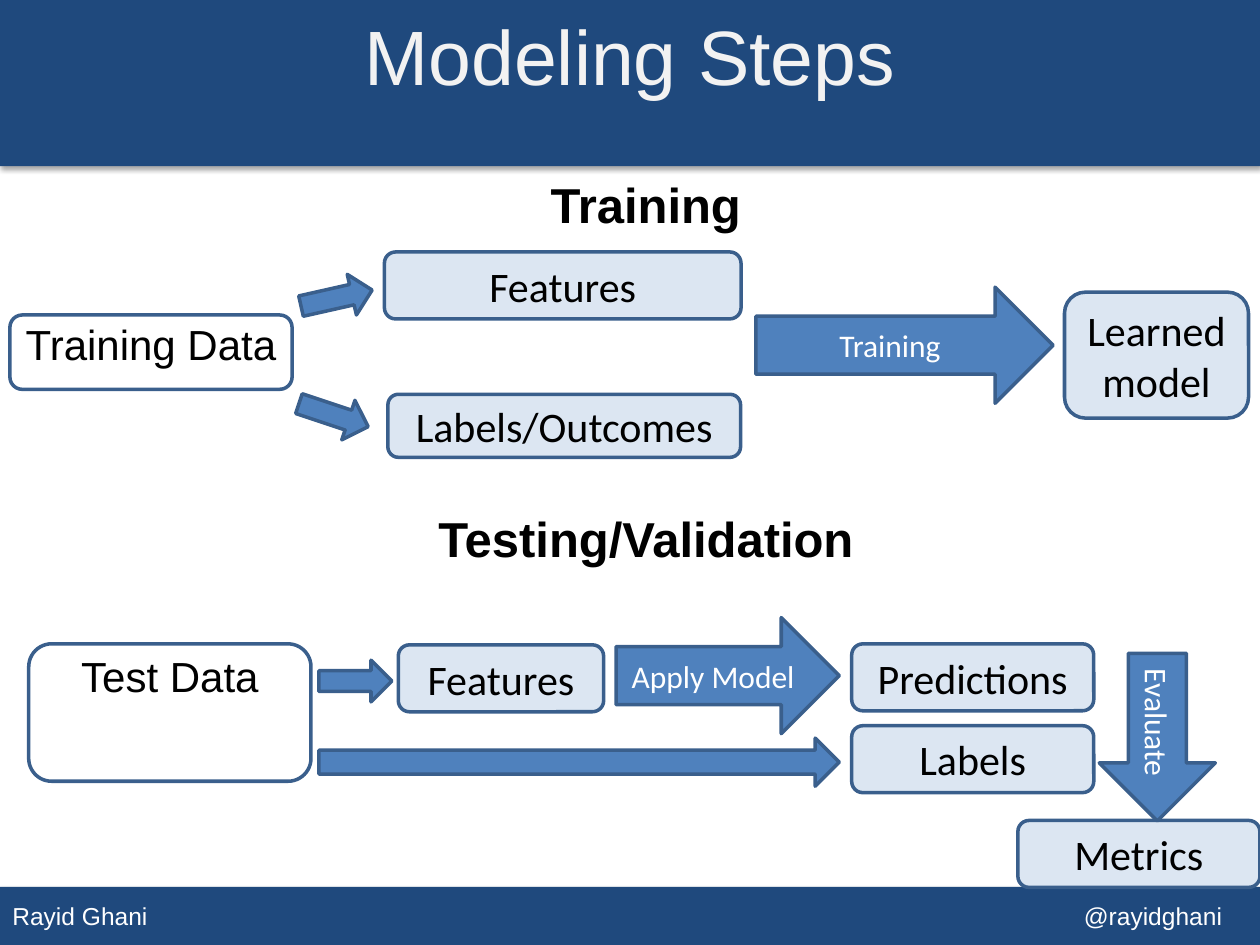
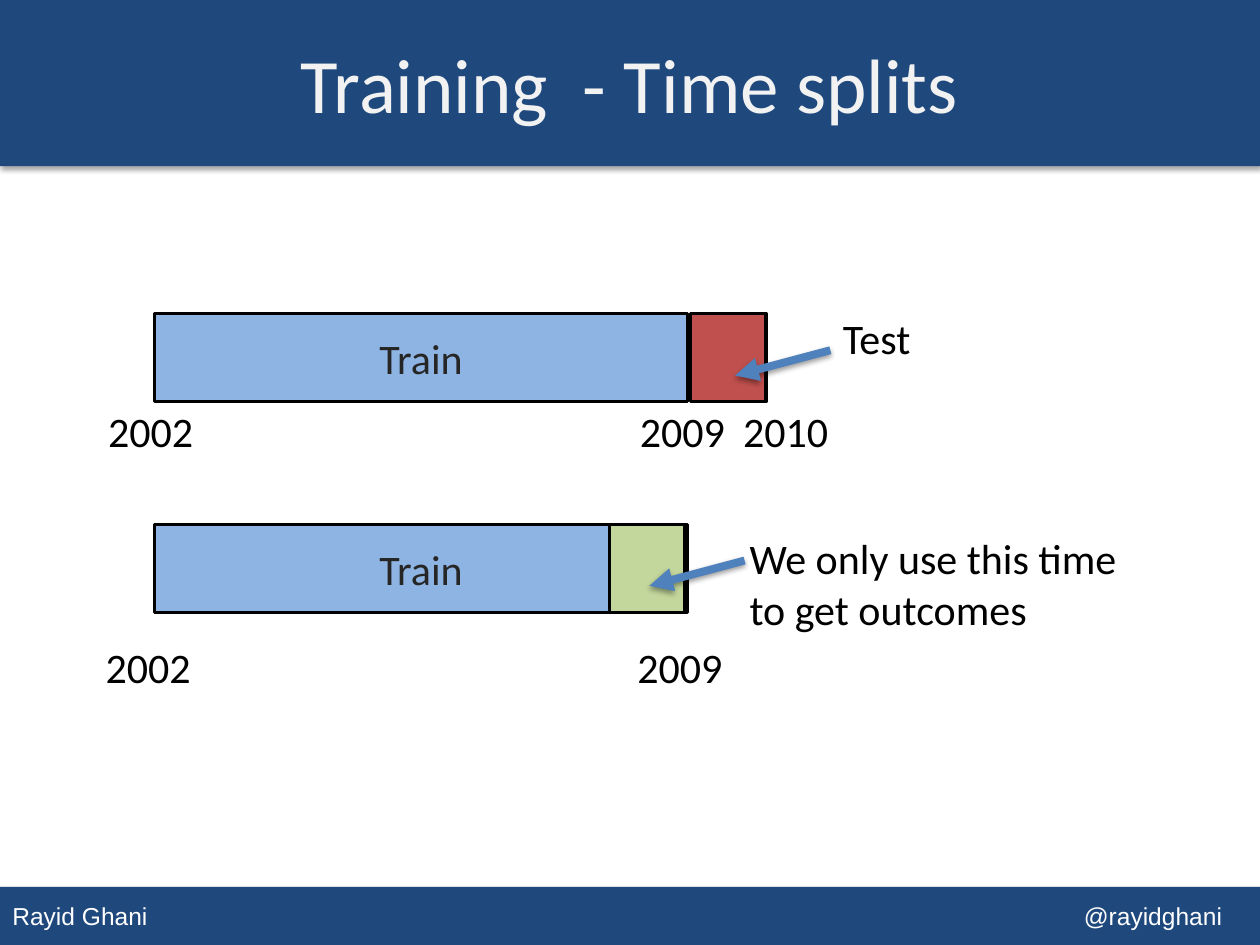
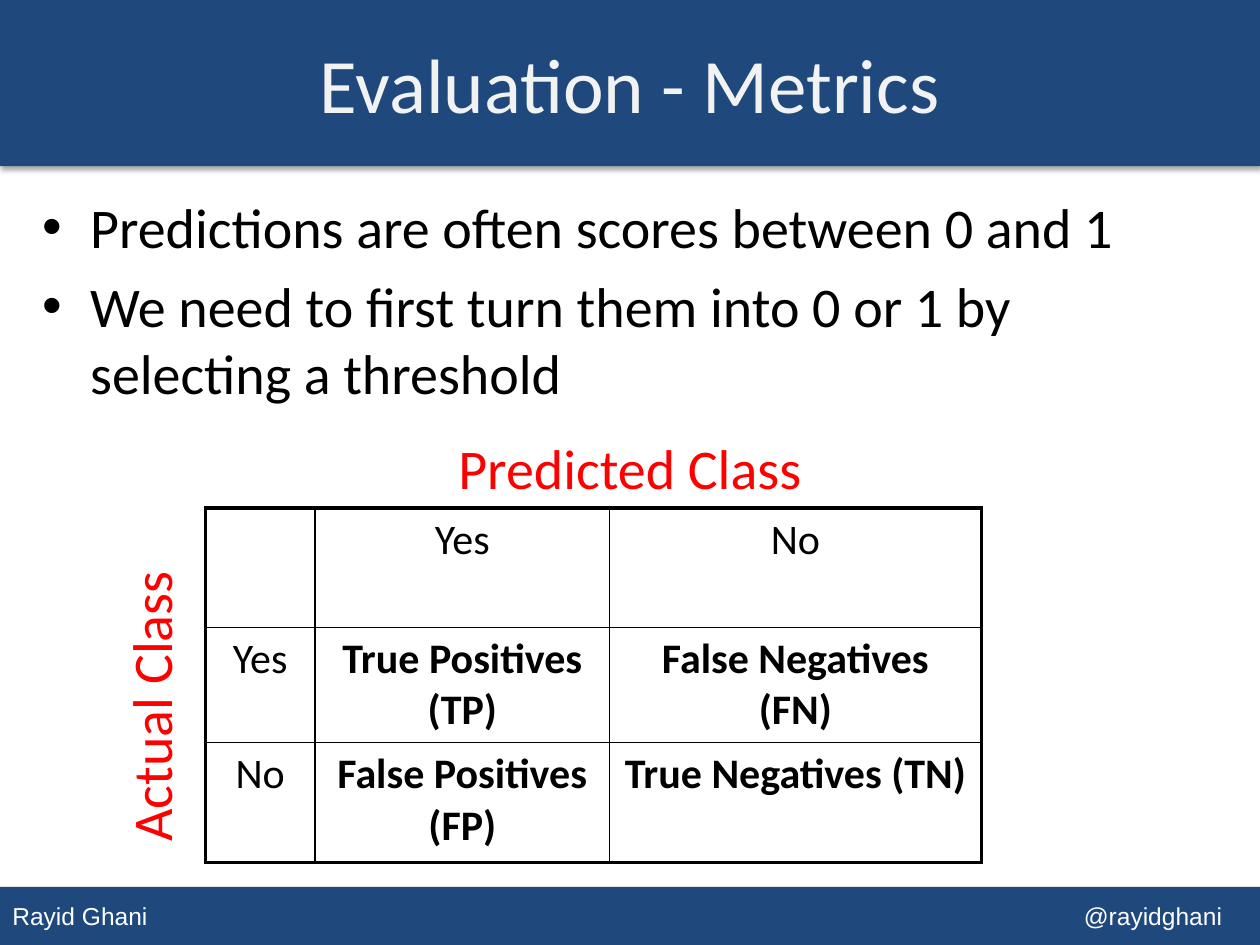
from dataclasses import dataclass

from lxml.etree import SubElement
from pptx import Presentation
from pptx.dml.color import RGBColor
from pptx.enum.shapes import MSO_CONNECTOR, MSO_SHAPE
from pptx.enum.text import MSO_ANCHOR, MSO_AUTO_SIZE, PP_ALIGN
from pptx.oxml.ns import qn
from pptx.util import Cm, Pt


@dataclass(frozen=True)
class Theme:
    band: str = "1F497D"
    title: str = "F2F2F2"
    white: str = "FFFFFF"
    black: str = "000000"
    box: str = "DCE6F2"
    outline: str = "3A5F8C"
    arrow: str = "4F81BD"
    train: str = "8EB4E3"
    train_text: str = "262626"
    test: str = "C0504D"
    outcome: str = "C3D69B"
    axis: str = "FF0000"
    sans: str = "Arial"
    main: str = "Calibri"
    title_pt: int = 44
    large_pt: int = 32
    heading_pt: int = 28
    text_pt: int = 24
    arrow_pt: int = 18
    footer_pt: int = 14


T = Theme()
WIDTH, HEIGHT = 25.4, 19.05

# All boxes are (left, top, width, height) in centimetres.
BANDS = [((0, 17.88, WIDTH, 1.17), "Rayid Ghani\t@rayidghani"),
         ((0, 0, WIDTH, 3.35), "")]
FOOTER_TAB = 21.6
TITLE_BOX = (0, 0.08, WIDTH, 3.18)

STEPS_TITLE_BOX = (1.27, 0, 22.86, 2.21)
HEADINGS = [("Training", (10.85, 3.4, 4.39, 1.45)),
            ("Testing/Validation", (8.59, 10.13, 8.99, 1.45))]
DATA_BOXES = [("Training Data", (0.2, 6.35, 5.69, 1.5)),
              ("Test Data", (0.58, 12.98, 5.69, 2.77))]
STEP_BOXES = [("Features", (7.75, 5.08, 7.19, 1.35)),
              ("Labels/Outcomes", (7.82, 7.95, 7.11, 1.27)),
              ("Learned model", (21.46, 5.89, 3.71, 2.54)),
              ("Features", (8.03, 13, 4.14, 1.35)),
              ("Predictions", (17.17, 12.98, 4.88, 1.35)),
              ("Labels", (17.17, 14.63, 4.88, 1.35)),
              ("Metrics", (20.52, 16.54, 4.88, 1.35))]
STEP_ARROWS = [("", (6.05, 5.59, 1.47, 0.84), 347.3),
               ("", (5.99, 7.95, 1.47, 0.84), 18.4),
               ("Training", (15.24, 5.79, 5.99, 2.34), 0),
               ("", (6.43, 13.31, 1.47, 0.84), 0),
               ("Apply Model", (12.42, 12.45, 4.5, 2.34), 0),
               ("", (6.43, 14.88, 10.49, 0.97), 0),
               ("Evaluate", (21.64, 13.69, 3.38, 2.34), 90)]

BAR_LEFT, BAR_WIDTH, BAR_HEIGHT, END_WIDTH = 3.12, 10.74, 1.78, 1.52
POINTER = (-1.92, 0.51)
YEAR_TABS = (10.72, 12.8)
SPLITS = [
    dict(top=6.32, end_left=13.92, end_fill=T.test, pointer=(16.74, 7.06),
         note=["Test"], note_box=(16.74, 6.17, 1.91, 1.27),
         years=["2002", "2009", "2010"], years_at=(1.93, 8.05)),
    dict(top=10.57, end_left=12.29, end_fill=T.outcome, pointer=(15.01, 11.3),
         note=["We only use this time", "to get outcomes"],
         note_box=(14.86, 10.62, 8.18, 2.31),
         years=["2002", "2009"], years_at=(1.88, 12.8)),
]

METRIC_POINTS = ["Predictions are often scores between 0 and 1",
                 "We need to first turn them into 0 or 1 by selecting a threshold"]
BODY_BOX = (0.61, 3.76, 24.31, 13.77)
CONFUSION = [["", "Yes", "No"],
             ["Yes", "True Positives (TP)", "False Negatives (FN)"],
             ["No", "False Positives (FP)", "True Negatives (TN)"]]
TABLE_AT = (4.14, 10.24)
COLUMNS = (2.21, 5.94, 7.49)
ROWS = (2.41, 2.13, 2.41)
AXES = [("Predicted Class", (8.99, 8.61, 7.57, 1.63), 0),
        ("Actual Class", (0.03, 13.39, 6.02, 1.63), 270)]


def rgb(color):
    return RGBColor.from_string(color)


def cm(values):
    return [Cm(v) for v in values]


def move(sp, box):
    sp.left, sp.top, sp.width, sp.height = cm(box)


def add_run(p, text, size, color, font=T.main, bold=False):
    r = p.add_run()
    r.text = text
    r.font.size, r.font.name, r.font.bold = Pt(size), font, bold
    r.font.color.rgb = rgb(color)


def add_tabs(p, stops):
    tabs = SubElement(p._p.get_or_add_pPr(), qn("a:tabLst"))
    for stop in stops:
        SubElement(tabs, qn("a:tab"), pos=str(Cm(stop)), algn="l")


def drop_shadow(sp, opacity, distance):
    sp_pr = sp._element.spPr
    effects = sp_pr.find(qn("a:effectLst"))
    if effects is None:
        effects = SubElement(sp_pr, qn("a:effectLst"))
    shadow = SubElement(effects, qn("a:outerShdw"), blurRad=str(Pt(3.1)),
                        dist=str(Pt(distance)), dir="5400000", rotWithShape="0")
    color = SubElement(shadow, qn("a:srgbClr"), val=T.black)
    SubElement(color, qn("a:alpha"), val=str(opacity * 1000))


def add_box(slide, kind, box, fill=None, line=None, text="", size=T.text_pt,
            color=T.black, font=T.main):
    sp = slide.shapes.add_shape(kind, *cm(box))
    sp.shadow.inherit = False
    if fill:
        sp.fill.solid()
        sp.fill.fore_color.rgb = rgb(fill)
    else:
        sp.fill.background()
    if line:
        sp.line.color.rgb, sp.line.width = rgb(line), Pt(2)
    else:
        sp.line.fill.background()
    if text:
        p = sp.text_frame.paragraphs[0]
        p.alignment = PP_ALIGN.CENTER
        add_run(p, text, size, color, font)
    return sp


def add_label(slide, box, lines, size=T.text_pt, color=T.black, font=T.main,
              bold=False, wrap=False):
    sp = slide.shapes.add_textbox(*cm(box))
    tf = sp.text_frame
    tf.word_wrap = wrap
    for i, line in enumerate(lines):
        p = tf.add_paragraph() if i else tf.paragraphs[0]
        add_run(p, line, size, color, font, bold)
    return sp


def add_pointer(slide, start):
    end = [a + d for a, d in zip(start, POINTER)]
    c = slide.shapes.add_connector(MSO_CONNECTOR.STRAIGHT, *cm(start), *cm(end))
    c.line.color.rgb, c.line.width = rgb(T.arrow), Pt(4.5)
    SubElement(c.line._get_or_add_ln(), qn("a:tailEnd"), type="triangle")
    drop_shadow(c, 38, 1.6)


def add_slide(prs, layout, title, box=TITLE_BOX, font=T.main):
    slide = prs.slides.add_slide(prs.slide_layouts.get_by_name(layout))
    move(slide.shapes.title, box)
    tf = slide.shapes.title.text_frame
    tf.auto_size, tf.vertical_anchor = MSO_AUTO_SIZE.NONE, MSO_ANCHOR.MIDDLE
    p = tf.paragraphs[0]
    p.alignment = PP_ALIGN.CENTER
    add_run(p, title, T.title_pt, T.title, font)
    return slide


def move_bands_to_master(prs, slide):
    """Draw the bands on a slide, then hand them to the master behind all else."""
    tree = prs.slide_master.shapes._spTree
    for i, (box, text) in enumerate(BANDS):
        sp = add_box(slide, MSO_SHAPE.RECTANGLE, box, T.band)
        drop_shadow(sp, 35, 1.8)
        if text:
            p = sp.text_frame.paragraphs[0]
            p.alignment = PP_ALIGN.LEFT
            add_tabs(p, [FOOTER_TAB])
            add_run(p, text, T.footer_pt, T.white, T.sans)
        tree.insert(2 + i, sp._element)


def build_steps(prs):
    slide = add_slide(prs, "Title Only", "Modeling Steps", STEPS_TITLE_BOX, T.sans)
    move_bands_to_master(prs, slide)
    for text, box in HEADINGS:
        add_label(slide, box, [text], T.heading_pt, font=T.sans, bold=True)
    for text, box in DATA_BOXES:
        sp = add_box(slide, MSO_SHAPE.ROUNDED_RECTANGLE, box, None, T.outline,
                     text, font=T.sans)
        tf = sp.text_frame
        tf.vertical_anchor = MSO_ANCHOR.TOP
        tf.margin_left = tf.margin_right = tf.margin_top = 0
    for text, box in STEP_BOXES:
        add_box(slide, MSO_SHAPE.ROUNDED_RECTANGLE, box, T.box, T.outline, text)
    for text, box, angle in STEP_ARROWS:
        sp = add_box(slide, MSO_SHAPE.RIGHT_ARROW, box, T.arrow, T.outline, text,
                     T.arrow_pt, T.white)
        sp.rotation = angle


def build_splits(prs):
    slide = add_slide(prs, "Title Only", "Training  - Time splits")
    for s in SPLITS:
        add_box(slide, MSO_SHAPE.RECTANGLE,
                (BAR_LEFT, s["top"], BAR_WIDTH, BAR_HEIGHT),
                T.train, T.black, "Train", color=T.train_text)
        add_box(slide, MSO_SHAPE.RECTANGLE,
                (s["end_left"], s["top"], END_WIDTH, BAR_HEIGHT),
                s["end_fill"], T.black)
        add_pointer(slide, s["pointer"])
        add_label(slide, s["note_box"], s["note"])
        years = add_label(slide, (*s["years_at"], 20, 1.27),
                          ["\t".join(s["years"])], wrap=True)
        add_tabs(years.text_frame.paragraphs[0], YEAR_TABS)


def set_borders(cell, widths):
    tc_pr = cell._tc.get_or_add_tcPr()
    for i, (side, width) in enumerate(widths.items()):
        ln = SubElement(tc_pr, qn(f"a:{side}"), w=str(Pt(width)))
        fill = SubElement(ln, qn("a:solidFill"))
        SubElement(fill, qn("a:srgbClr"), val=T.black)
        tc_pr.insert(i, ln)


def add_confusion_table(slide):
    size = (sum(COLUMNS), sum(ROWS))
    frame = slide.shapes.add_table(len(ROWS), len(COLUMNS), *cm(TABLE_AT + size))
    table = frame.table
    table.first_row = table.horz_banding = False
    for column, width in zip(table.columns, COLUMNS):
        column.width = Cm(width)
    for row, height in zip(table.rows, ROWS):
        row.height = Cm(height)
    for i, row in enumerate(CONFUSION):
        for j, text in enumerate(row):
            cell = table.cell(i, j)
            cell.fill.background()
            edges = {"lnL": j == 0, "lnR": j == len(COLUMNS) - 1,
                     "lnT": i == 0, "lnB": i == len(ROWS) - 1}
            set_borders(cell, {k: 2.25 if outer else 1 for k, outer in edges.items()})
            if text:
                p = cell.text_frame.paragraphs[0]
                p.alignment = PP_ALIGN.CENTER
                add_run(p, text, T.text_pt, T.black, bold=i > 0 and j > 0)


def build_metrics(prs):
    slide = add_slide(prs, "Title and Content", "Evaluation - Metrics")
    body = slide.placeholders[1]
    move(body, BODY_BOX)
    tf = body.text_frame
    tf.auto_size = MSO_AUTO_SIZE.NONE
    for i, text in enumerate(METRIC_POINTS):
        p = tf.add_paragraph() if i else tf.paragraphs[0]
        add_run(p, text, T.large_pt, T.black)
    tf.paragraphs[0].space_before = Pt(0)
    add_confusion_table(slide)
    for text, box, angle in AXES:
        add_label(slide, box, [text], T.large_pt, T.axis).rotation = angle


def main():
    prs = Presentation()
    prs.slide_width, prs.slide_height = Cm(WIDTH), Cm(HEIGHT)
    build_steps(prs)
    build_splits(prs)
    build_metrics(prs)
    prs.save("out.pptx")


if __name__ == "__main__":
    main()
